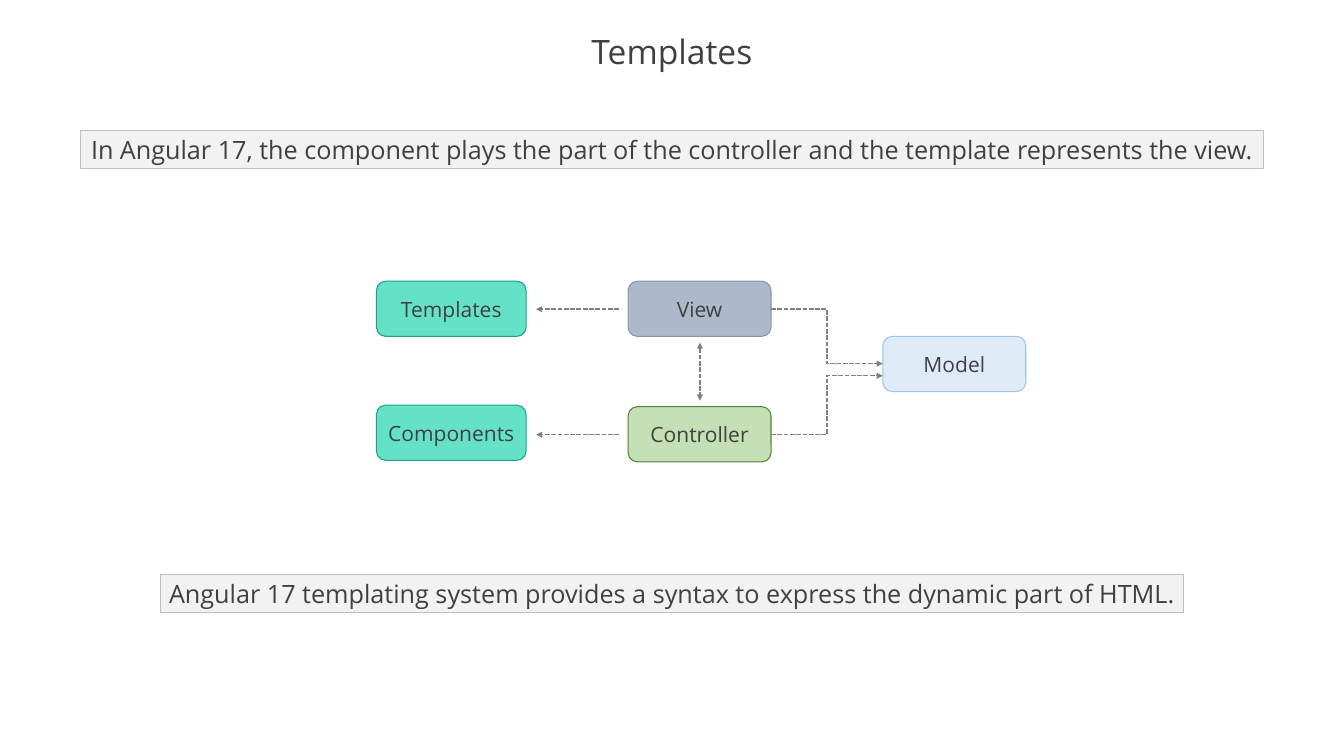
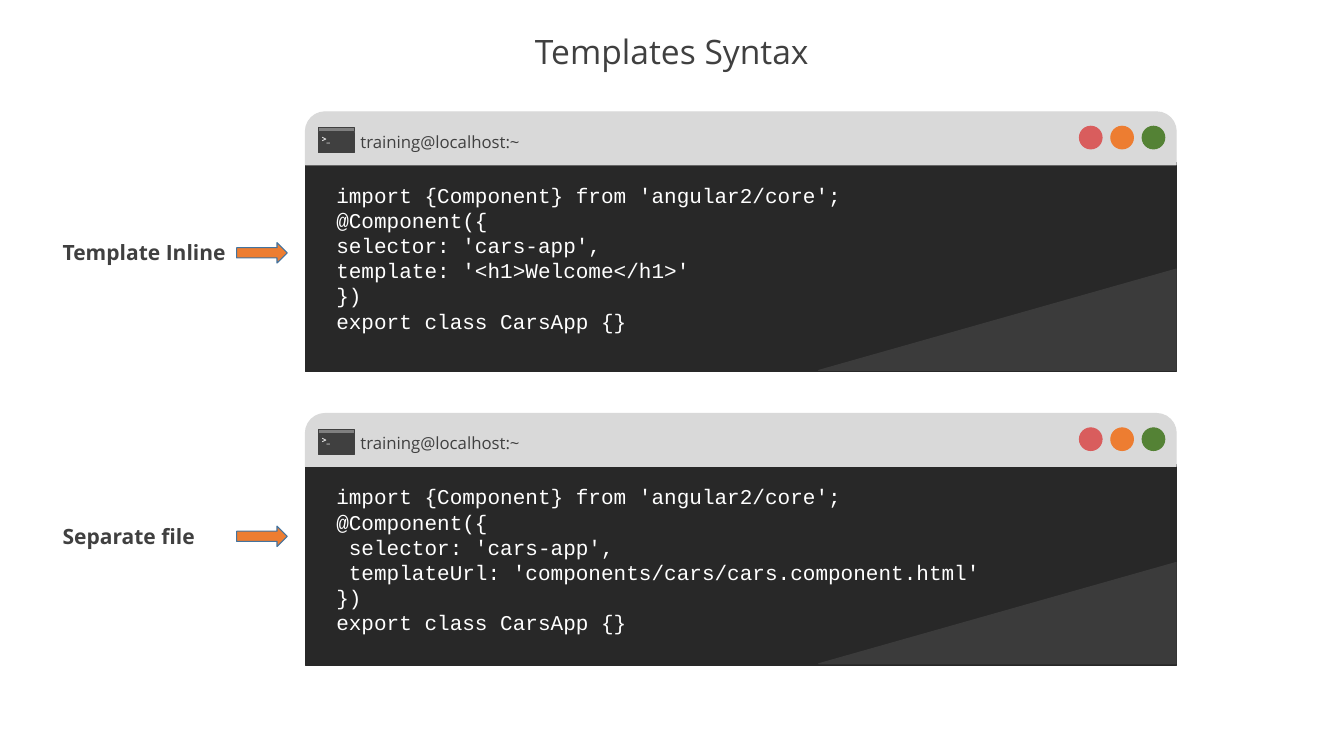
from lxml.etree import SubElement
from pptx import Presentation
from pptx.dml.color import RGBColor
from pptx.enum.dml import MSO_LINE
from pptx.enum.shapes import MSO_CONNECTOR as Connector, MSO_SHAPE as Shape
from pptx.enum.text import MSO_ANCHOR as Anchor, MSO_AUTO_SIZE as AutoSize, PP_ALIGN as Align
from pptx.oxml.ns import qn
from pptx.util import Inches, Pt

# The grid has square cells, one tenth of the slide's height
COLUMNS, ROWS = 17.78, 10
CELL = Inches(1)

# Shared style
FONT, CODE_FONT = "Open Sans", "Courier New"
INK, WHITE, GRAY = "404040", "FFFFFF", "808080"
PANEL, PANEL_LINE = "F2F2F2", "BFBFBF"
MINT, MINT_LINE = "64E2C7", "1EA185"
ORANGE, ARROW_LINE = "ED7D31", "43739E"
SCREEN, FOLD, TITLE_BAR = "282828", "3B3B3B", "D9D9D9"
BUTTONS = ["D95D5D", ORANGE, "548235"]


def color(hex_string):
    return RGBColor.from_string(hex_string)


def grid(*cells):
    return [round(cell * CELL) for cell in cells]


class Deck:
    """Holds the shared style and the slide being built."""

    def __init__(self):
        self.presentation = Presentation()
        self.presentation.slide_width, self.presentation.slide_height = grid(COLUMNS, ROWS)
        self.slide = None

    def add_slide(self, title):
        layout = self.presentation.slide_layouts.get_by_name("Title Only")
        self.slide = self.presentation.slides.add_slide(layout)
        placeholder = self.slide.shapes.title
        placeholder.left, placeholder.top, placeholder.width, placeholder.height = grid(
            0, 0.35, COLUMNS, 0.73)
        self.set_text(placeholder, [title], 32, align=Align.CENTER, anchor=Anchor.MIDDLE)
        placeholder.text_frame.paragraphs[0].line_spacing = 0.9

    def set_text(self, shape, lines, size, ink=INK, font=FONT, bold=False,
                 align=Align.LEFT, anchor=Anchor.TOP, wrap=True):
        frame = shape.text_frame
        frame.word_wrap = wrap
        frame.auto_size = AutoSize.NONE
        frame.vertical_anchor = anchor
        frame.text = "\n".join(lines)
        for paragraph in frame.paragraphs:
            paragraph.alignment = align
            paragraph.font.name = font
            paragraph.font.size = Pt(size)
            paragraph.font.bold = bold
            paragraph.font.color.rgb = color(ink)

    def paint(self, shape, fill, line, width=1):
        shape.shadow.inherit = False
        shape.fill.solid()
        shape.fill.fore_color.rgb = color(fill)
        shape.line.color.rgb = color(line)
        shape.line.width = Pt(width)

    def block(self, kind, left, top, width, height, fill, line=None, line_width=1):
        shape = self.slide.shapes.add_shape(kind, *grid(left, top, width, height))
        self.paint(shape, fill, line or fill, line_width)
        return shape

    def text(self, left, top, width, height, lines, size, **style):
        box = self.slide.shapes.add_textbox(*grid(left, top, width, height))
        self.set_text(box, lines, size, **style)

    def banner(self, top, width, sentence):
        shape = self.block(Shape.RECTANGLE, (COLUMNS - width) / 2, top, width, 0.5,
                           PANEL, PANEL_LINE, 0.75)
        self.set_text(shape, [sentence], 24, align=Align.CENTER, anchor=Anchor.MIDDLE,
                      wrap=False)

    def node(self, left, top, width, label, fill, line):
        shape = self.block(Shape.ROUNDED_RECTANGLE, left, top, width, 0.73, fill, line)
        self.set_text(shape, [label], 20, align=Align.CENTER, anchor=Anchor.MIDDLE)

    def arrow(self, start, end, kind=Connector.STRAIGHT, ends=("tailEnd",)):
        connector = self.slide.shapes.add_connector(kind, *grid(*start, *end))
        connector.line.color.rgb = color(GRAY)
        connector.line.width = Pt(1.5)
        connector.line.dash_style = MSO_LINE.SQUARE_DOT
        properties = connector._element.spPr
        for name in ends:
            SubElement(properties.find(qn("a:ln")), qn(f"a:{name}"), type="triangle")
        SubElement(properties, qn("a:effectLst"))

    def fold(self, left, top, right, bottom):
        builder = self.slide.shapes.build_freeform(*grid(right, top))
        builder.add_line_segments([grid(right, bottom), grid(left, bottom)], close=True)
        self.paint(builder.convert_to_shape(), FOLD, FOLD)

    def terminal(self, top, screen_height, code):
        left, width = 4.04, 11.52
        right, screen_top = left + width, top + 0.67
        fold_bottom = screen_top + screen_height - 0.02
        # Screen and title bar
        self.block(Shape.RECTANGLE, left, screen_top, width, screen_height, SCREEN)
        self.fold(right - 4.73, fold_bottom - 1.34, right, fold_bottom)
        bar = self.block(Shape.ROUND_2_SAME_RECTANGLE, left, top, width, 0.7, TITLE_BAR)
        bar.adjustments[0] = 0.37
        for index, fill in enumerate(BUTTONS):
            self.block(Shape.OVAL, 14.28 + index * 0.415, top + 0.19, 0.3, 0.3, fill)
        self.text(4.67, top + 0.21, 2.33, 0.37, ["training@localhost:~"], 16, wrap=False)
        # Prompt icon
        self.block(Shape.RECTANGLE, 4.21, top + 0.27, 0.48, 0.27, INK)
        self.block(Shape.RECTANGLE, 4.21, top + 0.21, 0.48, 0.05, GRAY, INK)
        self.text(4.16, top + 0.24, 0.31, 0.24, [">_"], 8, ink=WHITE, bold=True, wrap=False)
        # Code
        self.text(4.35, top + 0.88, 10.89, 2.12, code, 20, ink=WHITE, font=CODE_FONT)

    def pointer(self, top, label):
        self.text(0.73, top, 2.6, 0.44, [label], 20, bold=True)
        self.block(Shape.RIGHT_ARROW, 3.13, top + 0.09, 0.67, 0.27, ORANGE, ARROW_LINE)


def build_templates(deck):
    deck.add_slide("Templates")
    deck.banner(1.73, 15.65, "In Angular 17, the component plays the part of the controller "
                             "and the template represents the view.")
    # Parts of the pattern
    for left, top, width, label, fill, line in [
        (8.31, 3.72, 1.89, "View", "ADB9CA", "8497B0"),
        (8.31, 5.38, 1.89, "Controller", "C5E0B4", "548235"),
        (11.68, 4.45, 1.89, "Model", "DEEBF7", "9DC3E6"),
        (4.98, 3.72, 1.98, "Templates", MINT, MINT_LINE),
        (4.98, 5.36, 1.98, "Components", MINT, MINT_LINE),
    ]:
        deck.node(left, top, width, label, fill, line)
    # Links between them
    for row, model_row in [(4.09, 4.81), (5.75, 4.97)]:
        deck.arrow((10.2, row), (11.68, model_row), Connector.ELBOW)
        deck.arrow((8.19, row), (7.09, row))
    deck.arrow((9.26, 4.53), (9.26, 5.3), ends=("headEnd", "tailEnd"))
    deck.banner(7.6, 13.54, "Angular 17 templating system provides a syntax to express "
                            "the dynamic part of HTML.")


def build_syntax(deck):
    deck.add_slide("Templates Syntax")
    opening = ["import {Component} from 'angular2/core';", "@Component({"]
    closing = ["})", "export class CarsApp {}"]
    inline = ["selector: 'cars-app',", "template: '<h1>Welcome</h1>'"]
    separate = [" selector: 'cars-app',",
                " templateUrl: 'components/cars/cars.component.html'"]
    for label, label_top, window_top, screen_height, body in [
        ("Template Inline", 3.12, 1.48, 2.77, inline),
        ("Separate file", 6.87, 5.47, 2.66, separate),
    ]:
        deck.terminal(window_top, screen_height, opening + body + closing)
        deck.pointer(label_top, label)


def main():
    deck = Deck()
    build_templates(deck)
    build_syntax(deck)
    deck.presentation.save("out.pptx")


if __name__ == "__main__":
    main()
